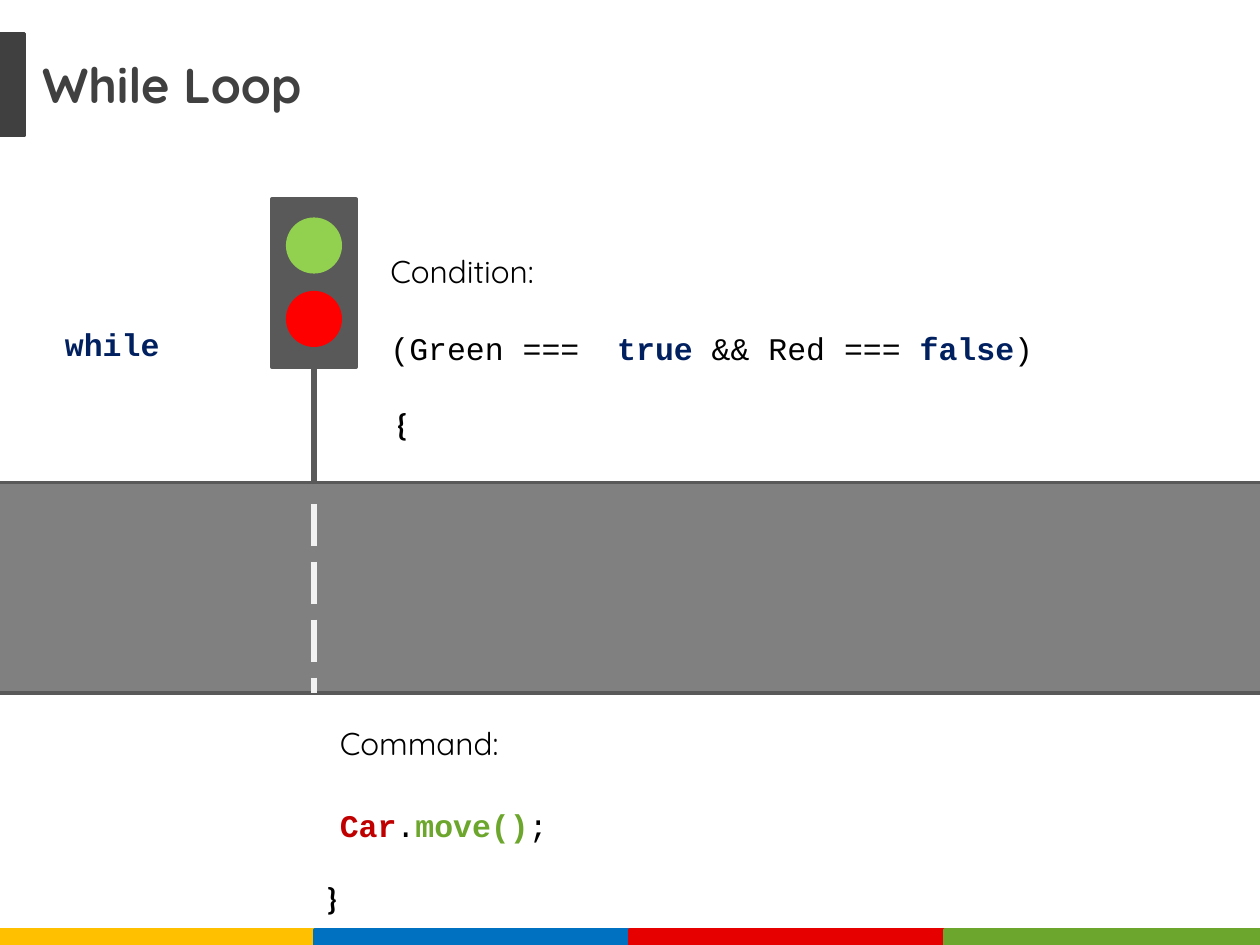
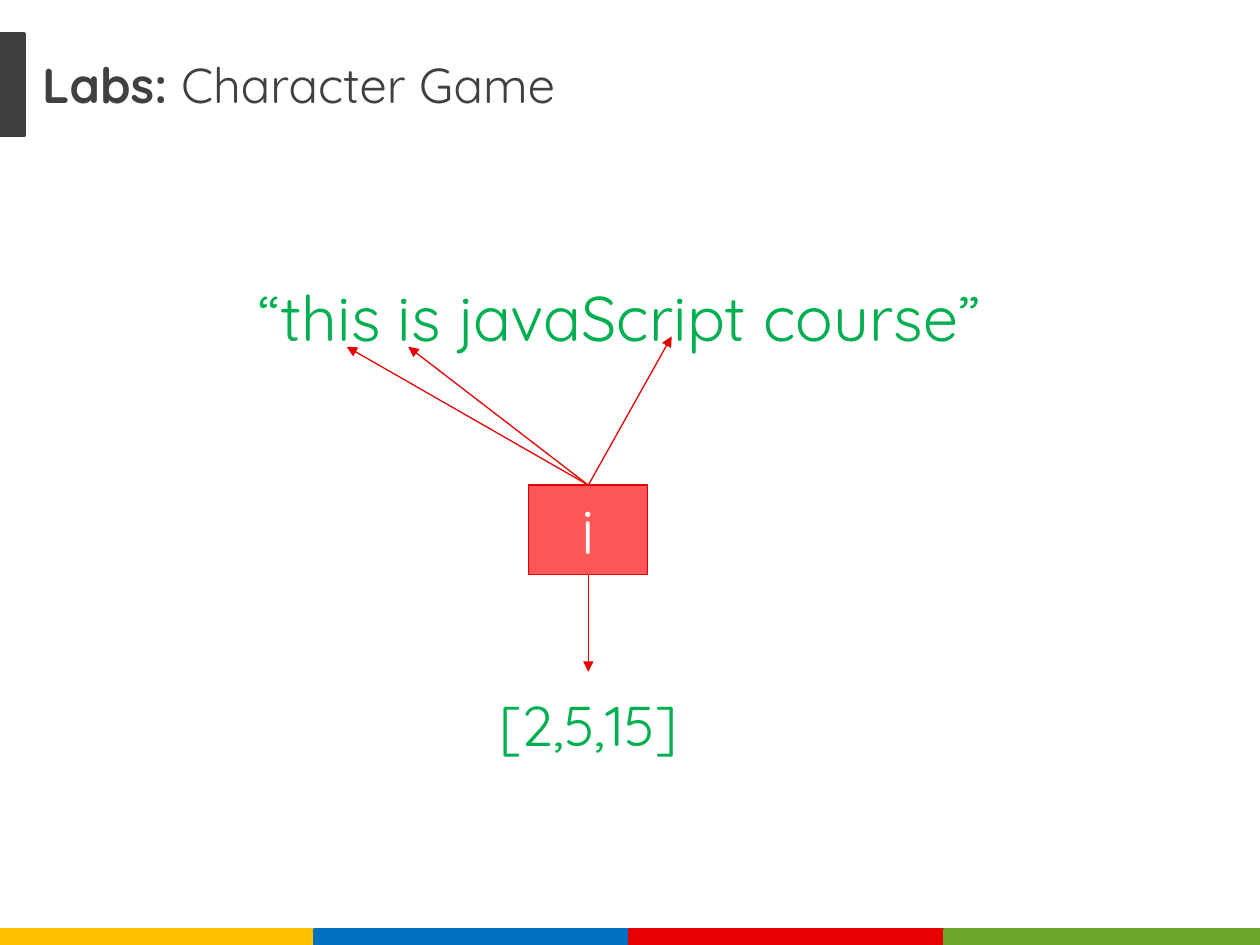
from dataclasses import dataclass
from typing import NamedTuple

from lxml.etree import SubElement
from pptx import Presentation
from pptx.dml.color import RGBColor
from pptx.enum.dml import MSO_LINE
from pptx.enum.shapes import MSO_CONNECTOR, MSO_SHAPE
from pptx.enum.text import MSO_ANCHOR, MSO_AUTO_SIZE, PP_ALIGN
from pptx.oxml.ns import qn
from pptx.shapes.autoshape import Shape
from pptx.slide import Slide
from pptx.text.text import TextFrame
from pptx.util import Cm, Pt

COLORS = {
    "black": "000000", "white": "FFFFFF", "title": "404040",
    "yellow": "FFC000", "blue": "0070C0", "red": "E60000", "green": "6CA62C",
    "road": "808080", "post": "595959", "lane": "F2F2F2",
    "go": "92D050", "stop": "FF0000",
    "keyword": "002060", "object": "C00000",
    "answer": "00B050", "letter": "FF5757",
}
HEADING, CODE, BRACE = "Quicksand", "Courier New", "Calibri"
SLIDE_WIDTH, SLIDE_HEIGHT = 25.4, 19.05
FOOTER_COLORS = ("yellow", "blue", "red", "green")
FRAME_FORMAT = {"word_wrap": True, "auto_size": MSO_AUTO_SIZE.SHAPE_TO_FIT_TEXT}


class Box(NamedTuple):
    left: float
    top: float
    width: float
    height: float


class Point(NamedTuple):
    x: float
    y: float


class Words(NamedTuple):
    text: str
    color: str = "black"
    bold: bool = False
    font: str = CODE
    size: float = 18


@dataclass
class Line:
    words: list[Words]
    space_before: float = 0


@dataclass
class Label:
    box: Box
    lines: list[Line]
    align: PP_ALIGN = PP_ALIGN.LEFT


@dataclass
class Block:
    box: Box
    fill: str
    outline: str
    weight: float = 2
    kind: MSO_SHAPE = MSO_SHAPE.RECTANGLE


@dataclass
class Stroke:
    start: Point
    end: Point
    color: str
    weight: float
    dash: MSO_LINE | None = None
    arrow: bool = False


def rgb(name: str) -> RGBColor:
    return RGBColor.from_string(COLORS[name])


def write_lines(frame: TextFrame, lines: list[Line], align: PP_ALIGN) -> None:
    for name, value in FRAME_FORMAT.items():
        setattr(frame, name, value)
    for index, line in enumerate(lines):
        paragraph = frame.add_paragraph() if index else frame.paragraphs[0]
        paragraph.alignment = align
        paragraph.space_before = Pt(line.space_before)
        for words in line.words:
            run = paragraph.add_run()
            run.text = words.text
            run.font.color.rgb = rgb(words.color)
            font_format = {"name": words.font, "size": Pt(words.size), "bold": words.bold}
            for name, value in font_format.items():
                setattr(run.font, name, value)


def draw_label(slide: Slide, label: Label) -> None:
    text_box = slide.shapes.add_textbox(*map(Cm, label.box))
    write_lines(text_box.text_frame, label.lines, label.align)


def draw_block(slide: Slide, block: Block) -> Shape:
    shape = slide.shapes.add_shape(block.kind, *map(Cm, block.box))
    shape.shadow.inherit = False
    shape.fill.solid()
    shape.fill.fore_color.rgb = rgb(block.fill)
    shape.line.color.rgb = rgb(block.outline)
    shape.line.width = Pt(block.weight)
    return shape


def draw_stroke(slide: Slide, stroke: Stroke) -> None:
    connector = slide.shapes.add_connector(
        MSO_CONNECTOR.STRAIGHT, *map(Cm, (*stroke.start, *stroke.end)))
    connector.line.color.rgb = rgb(stroke.color)
    line_format = {"width": Pt(stroke.weight), "dash_style": stroke.dash}
    for name, value in line_format.items():
        setattr(connector.line, name, value)
    properties = connector._element.spPr
    if stroke.arrow:
        SubElement(properties.find(qn("a:ln")), qn("a:tailEnd"), type="triangle")
    SubElement(properties, qn("a:effectLst"))


def add_titled_slide(deck: Presentation, title: list[Words]) -> Slide:
    slide = deck.slides.add_slide(deck.slide_layouts[6])
    band_width = SLIDE_WIDTH / len(FOOTER_COLORS)
    for index, color in enumerate(FOOTER_COLORS):
        band = Box(index * band_width, 18.75, band_width, 0.3)
        draw_block(slide, Block(band, color, color))
    draw_label(slide, Label(Box(0.6, 0.97, 15.24, 1.45), [Line(title)]))
    draw_block(slide, Block(Box(0, 0.68, 0.5, 2.04), "title", "title"))
    return slide


def title_words(text: str, bold: bool = True) -> Words:
    return Words(text, "title", bold, HEADING, 28)


def build_while_loop(deck: Presentation) -> None:
    slide = add_titled_slide(deck, [title_words("While Loop")])
    post_x, road_top, road_height = 6.33, 9.73, 4.24
    signal_width, lamp_size = 1.7, 1.06
    signal = Box(post_x - signal_width / 2, 4.02, signal_width, 3.38)
    signal_bottom = signal.top + signal.height

    draw_block(slide, Block(Box(-0.2, road_top, 25.83, road_height), "road", "post"))
    draw_block(slide, Block(signal, "post", "post", 2.25))
    draw_stroke(slide, Stroke(Point(post_x, signal_bottom), Point(post_x, road_top), "post", 3))
    for color, lamp_top in (("go", 4.42), ("stop", 5.9)):
        lamp = Box(post_x - lamp_size / 2, lamp_top, lamp_size, lamp_size)
        draw_block(slide, Block(lamp, color, color, kind=MSO_SHAPE.OVAL))
    draw_stroke(slide, Stroke(Point(post_x, 10.16), Point(post_x, road_top + road_height),
                              "lane", 3, MSO_LINE.LONG_DASH))

    condition = [
        Line([Words("Condition:", font=HEADING)]),
        Line([Words("(Green ===  "), Words("true", "keyword", True),
              Words(" && Red === "), Words("false", "keyword", True), Words(")")], 22.5),
    ]
    command = [
        Line([Words("Command:", font=HEADING)]),
        Line([Words("Car", "object", True), Words("."),
              Words("move()", "green", True), Words(";")], 25),
    ]
    labels = [
        Label(Box(7.62, 4.95, 13.97, 2.57), condition),
        Label(Box(6.6, 14.48, 7.82, 2.64), command),
        Label(Box(1.06, 6.43, 3.5, 1.02), [Line([Words("while", "keyword", True)])]),
        Label(Box(7.75, 8.05, 3.5, 1.02), [Line([Words("{", bold=True, font=BRACE)])]),
        Label(Box(6.33, 17.6, 3.5, 1.02), [Line([Words("}", bold=True, font=BRACE)])]),
    ]
    for label in labels:
        draw_label(slide, label)


def build_character_game(deck: Presentation) -> None:
    slide = add_titled_slide(
        deck, [title_words("Labs: "), title_words("Character Game", False)])
    sentence = Words("“this is javaScript course”", "answer", font=HEADING, size=36)
    positions = Words("[2,5,15]", "answer", font=HEADING, size=32)
    letter = Words("i", "white", font=HEADING, size=36)

    draw_label(slide, Label(Box(3.81, 5.5, 17.35, 1.8), [Line([sentence])], PP_ALIGN.CENTER))
    letter_box = Box(10.66, 9.78, 2.4, 1.8)
    letter_block = draw_block(slide, Block(letter_box, "letter", "red", 0.75))
    letter_block.text_frame.vertical_anchor = MSO_ANCHOR.MIDDLE
    write_lines(letter_block.text_frame, [Line([letter])], PP_ALIGN.CENTER)

    center_x = letter_box.left + letter_box.width / 2
    letter_top = Point(center_x, letter_box.top)
    letter_bottom = Point(center_x, letter_box.top + letter_box.height)
    arrows = [(letter_top, Point(6.99, 6.99)), (letter_top, Point(8.23, 6.99)),
              (letter_top, Point(13.54, 6.78)), (letter_bottom, Point(center_x, 13.54))]
    for start, end in arrows:
        draw_stroke(slide, Stroke(start, end, "red", 0.75, arrow=True))
    draw_label(slide, Label(Box(6.15, 13.8, 11.43, 1.62), [Line([positions])], PP_ALIGN.CENTER))


def main() -> None:
    deck = Presentation()
    deck.slide_width, deck.slide_height = Cm(SLIDE_WIDTH), Cm(SLIDE_HEIGHT)
    build_while_loop(deck)
    build_character_game(deck)
    deck.save("out.pptx")


if __name__ == "__main__":
    main()
